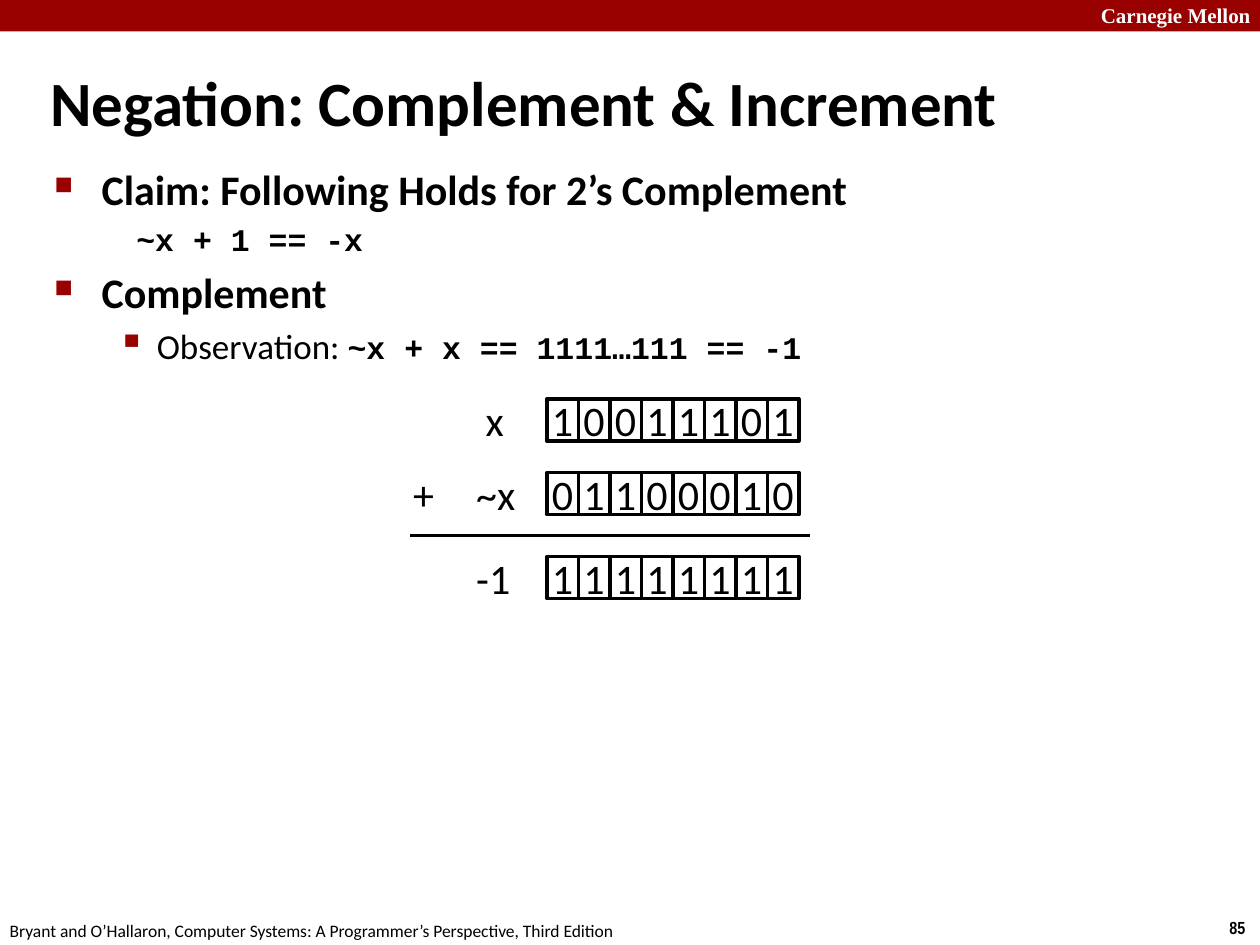
from typing import NamedTuple

from lxml.etree import SubElement
from pptx import Presentation
from pptx.dml.color import RGBColor as RGB
from pptx.enum.shapes import MSO_CONNECTOR as Link, MSO_SHAPE as Form
from pptx.enum.text import MSO_ANCHOR as Anchor, PP_ALIGN as Align
from pptx.oxml.ns import qn
from pptx.util import Pt

RED = RGB(0x99, 0, 0)
BLACK = RGB(0, 0, 0)
WHITE = RGB(0xFF, 0xFF, 0xFF)
SANS = "Calibri"
CODE = "Courier New"
CELL_W, CELL_H, CELL_X = 18, 24, 312.5


class Run(NamedTuple):
    text: str
    size: float
    font: str = SANS
    bold: bool = False
    color: RGB = BLACK


class Label(NamedTuple):
    x: float
    y: float
    w: float
    h: float
    run: Run
    wrap: bool = False


class Bullet(NamedTuple):
    mark: str
    scale: int


class Item(NamedTuple):
    level: int
    left: float
    hang: float
    runs: list[Run]
    bullet: Bullet | None = None


class Row(NamedTuple):
    y: float
    bits: str
    name: str
    x: float
    w: float


BOX = Bullet("■", 60)
DOT = Bullet("▪", 110)
LABELS = [
    Label(622, -2, 103, 21.6, Run("Carnegie Mellon", 12, "Times New Roman", True, WHITE), True),
    Label(695.5, 520.5, 24.5, 19.5, Run("85", 10, "Arial Narrow", True)),
    Label(-1.5, 522, 366, 19.5,
          Run("Bryant and O’Hallaron, Computer Systems: A Programmer’s Perspective, Third Edition", 10)),
    Label(229, 264, 26.6, 36.5, Run("+", 24)),
]
TITLE = Label(21.6, 36, 698.4, 44, Run("Negation: Complement & Increment", 36, bold=True), True)
ITEMS = [
    Item(0, 27, 27, [Run("Claim: Following Holds for 2’s Complement", 24, bold=True)], BOX),
    Item(1, 58.5, 22.5, [Run(" ~x + 1 == -x", 18, CODE, True)]),
    Item(0, 27, 27, [Run("Complement", 24, bold=True)], BOX),
    Item(1, 58.5, 22.5, [Run("Observation: ", 20),
                         Run("~x + x == 1111…111 == -1", 18, CODE, True)], DOT),
]
ROWS = [
    Row(228, "10011101", "x", 270.4, 26),
    Row(270, "01100010", "~x", 265, 37.4),
    Row(318, "11111111", "-1", 265, 34.6),
]


def add_run(para, run: Run) -> None:
    part = para.add_run()
    part.text = run.text
    font = part.font
    font.name, font.size, font.bold = run.font, Pt(run.size), run.bold
    font.color.rgb = run.color


def add_text(slide, label: Label):
    box = slide.shapes.add_textbox(Pt(label.x), Pt(label.y), Pt(label.w), Pt(label.h))
    frame = box.text_frame
    frame.word_wrap = label.wrap
    add_run(frame.paragraphs[0], label.run)
    return frame


def add_rect(slide, x: float, y: float, w: float, h: float, fill: RGB):
    rect = slide.shapes.add_shape(Form.RECTANGLE, Pt(x), Pt(y), Pt(w), Pt(h))
    rect.shadow.inherit = False
    rect.fill.solid()
    rect.fill.fore_color.rgb = fill
    rect.line.fill.background()
    return rect


def add_cell(slide, x: float, y: float, bit: str) -> None:
    cell = add_rect(slide, x, y, CELL_W, CELL_H, WHITE)
    cell.line.color.rgb = BLACK
    cell.line.width = Pt(2)
    frame = cell.text_frame
    frame.word_wrap = False
    frame.vertical_anchor = Anchor.MIDDLE
    para = frame.paragraphs[0]
    para.alignment = Align.CENTER
    add_run(para, Run(bit, 24))


def add_row(slide, row: Row) -> None:
    for i, bit in enumerate(row.bits):
        add_cell(slide, CELL_X + i * CELL_W, row.y, bit)
    add_text(slide, Label(row.x, row.y - 6, row.w, 36.5, Run(row.name, 24)))


def set_bullet(props, bullet: Bullet | None) -> None:
    if bullet is None:
        SubElement(props, qn("a:buNone"))
        return
    color = SubElement(props, qn("a:buClr"))
    SubElement(color, qn("a:srgbClr"), val=str(RED))
    SubElement(props, qn("a:buSzPct"), val=str(bullet.scale * 1000))
    SubElement(props, qn("a:buChar"), char=bullet.mark)


def add_body(slide, items: list[Item]) -> None:
    box = slide.shapes.add_textbox(Pt(24), Pt(90), Pt(618.5), Pt(411))
    frame = box.text_frame
    frame.word_wrap = True
    for i, item in enumerate(items):
        para = frame.add_paragraph() if i else frame.paragraphs[0]
        para.level = item.level
        props = para._p.get_or_add_pPr()
        props.set("marL", str(Pt(item.left)))
        props.set("indent", str(-Pt(item.hang)))
        set_bullet(props, item.bullet)
        if i:
            para.space_before = Pt(0.2 * item.runs[0].size)
        for run in item.runs:
            add_run(para, run)


def add_rule(slide, x: float, end: float, y: float) -> None:
    rule = slide.shapes.add_connector(Link.STRAIGHT, Pt(x), Pt(y), Pt(end), Pt(y))
    rule.line.color.rgb = BLACK
    rule.line.width = Pt(2)
    SubElement(rule._element.spPr, qn("a:effectLst"))


def main() -> None:
    deck = Presentation()
    deck.slide_width, deck.slide_height = Pt(720), Pt(540)
    slide = deck.slides.add_slide(deck.slide_layouts[6])
    add_rect(slide, 0, 0, 720, 18, RED)
    for label in LABELS:
        add_text(slide, label)
    add_text(slide, TITLE).vertical_anchor = Anchor.MIDDLE
    add_body(slide, ITEMS)
    for row in ROWS:
        add_row(slide, row)
    add_rule(slide, 234.5, 463, 306)
    deck.save("out.pptx")


if __name__ == "__main__":
    main()
